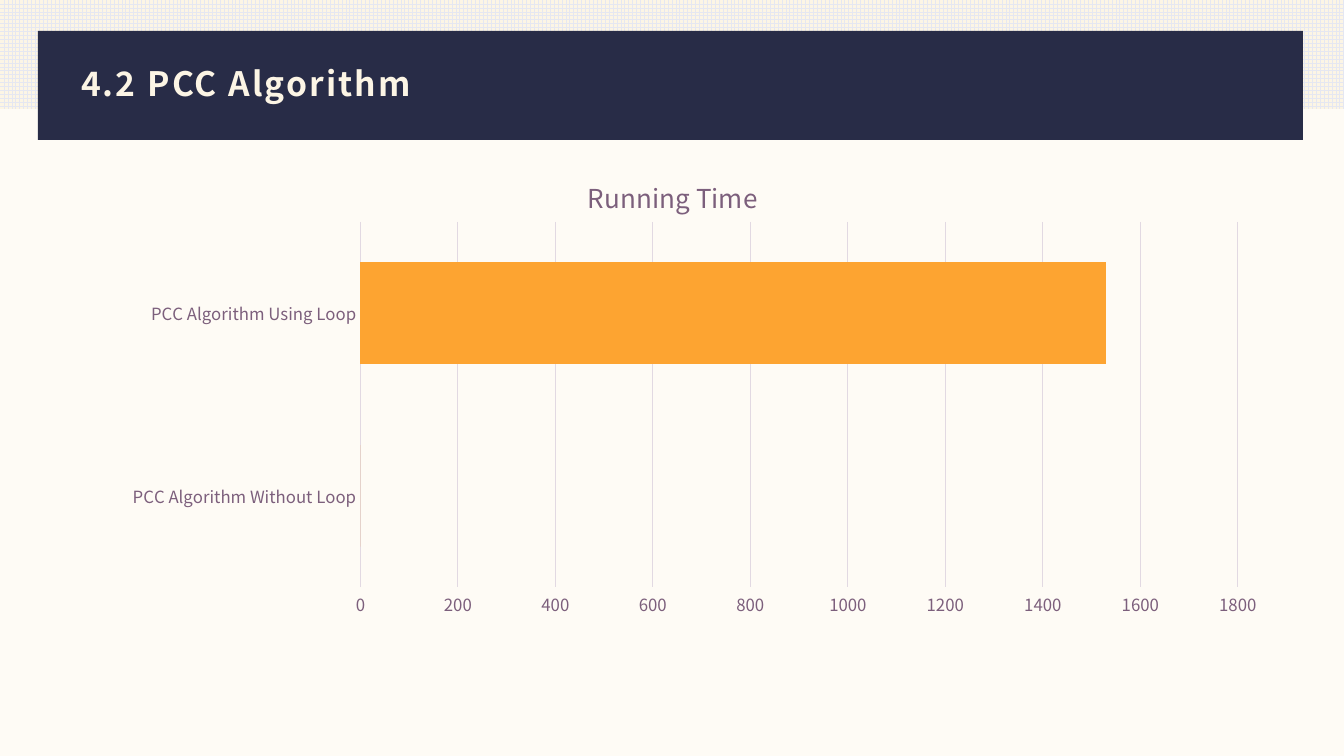
from dataclasses import dataclass

from lxml.etree import SubElement
from pptx import Presentation
from pptx.chart.data import CategoryChartData
from pptx.dml.color import RGBColor
from pptx.enum.chart import XL_CHART_TYPE, XL_TICK_MARK
from pptx.enum.dml import MSO_PATTERN
from pptx.enum.shapes import MSO_SHAPE
from pptx.enum.text import MSO_ANCHOR, PP_ALIGN
from pptx.oxml.ns import qn
from pptx.util import Emu, Pt

PX = 914400 / 100.8


@dataclass(frozen=True)
class Theme:
    background: str = "FEFBF5"
    cream: str = "FCF5E5"
    grid_pattern: str = "E5E7F1"
    navy: str = "282C47"
    mauve: str = "7C5F7C"
    gridline: str = "E2D9E2"
    orange: str = "FDA431"
    title_font: str = "Noto Sans CJK SC"
    chart_font: str = "Noto Sans CJK JP"
    title_size: float = 24
    chart_title_size: float = 18.6
    axis_size: float = 12


def color(value):
    return RGBColor.from_string(value)


def box(*lengths):
    return [Emu(round(length * PX)) for length in lengths]


class SlideBuilder:
    def __init__(self, presentation, theme):
        self.theme = theme
        self.slide = presentation.slides.add_slide(presentation.slide_layouts[5])
        fill = self.slide.background.fill
        fill.solid()
        fill.fore_color.rgb = color(theme.background)

    def style(self, font, name, size, value, bold=False):
        font.name, font.size, font.bold = name, Pt(size), bold
        font.color.rgb = color(value)

    def rectangle(self, position, fill_color, pattern_color=None):
        shape = self.slide.shapes.add_shape(MSO_SHAPE.RECTANGLE, *box(*position))
        shape.shadow.inherit = False
        shape.line.fill.background()
        if pattern_color:
            shape.fill.patterned()
            shape.fill.pattern = MSO_PATTERN.LARGE_GRID
            shape.fill.fore_color.rgb = color(pattern_color)
            shape.fill.back_color.rgb = color(fill_color)
        else:
            shape.fill.solid()
            shape.fill.fore_color.rgb = color(fill_color)

    def title(self, position, text):
        shape = self.slide.shapes.title
        shape.left, shape.top, shape.width, shape.height = box(*position)
        # Bring the title in front of the banner
        self.slide.shapes._spTree.append(shape._element)
        frame = shape.text_frame
        frame.text = text
        frame.word_wrap = True
        frame.vertical_anchor = MSO_ANCHOR.MIDDLE
        paragraph = frame.paragraphs[0]
        paragraph.alignment = PP_ALIGN.LEFT
        paragraph.line_spacing = 0.9
        self.style(paragraph.font, self.theme.title_font, self.theme.title_size,
                   self.theme.cream, bold=True)
        paragraph.font._element.set("spc", "150")

    def bar_chart(self, position, name, values, maximum, step, plot):
        theme = self.theme
        data = CategoryChartData()
        data.categories = list(values)
        data.add_series(name, list(values.values()))
        chart = self.slide.shapes.add_chart(
            XL_CHART_TYPE.BAR_CLUSTERED, *box(*position), data).chart
        self.style(chart.font, theme.chart_font, theme.axis_size, theme.mauve)
        chart.has_legend = False

        # Chart title
        chart.has_title = True
        chart.chart_title.include_in_layout = False
        frame = chart.chart_title.text_frame
        frame.text = name
        self.style(frame.paragraphs[0].font, theme.chart_font,
                   theme.chart_title_size, theme.mauve)

        # Axes
        for axis in (chart.category_axis, chart.value_axis):
            axis.major_tick_mark = axis.minor_tick_mark = XL_TICK_MARK.NONE
            self.style(axis.tick_labels.font, theme.chart_font,
                       theme.axis_size, theme.mauve)
        axis = chart.value_axis
        axis.minimum_scale, axis.maximum_scale, axis.major_unit = 0, maximum, step
        axis.format.line.fill.background()
        axis.has_major_gridlines = True
        for line in (chart.category_axis.format.line, axis.major_gridlines.format.line):
            line.color.rgb = color(theme.gridline)
            line.width = Pt(0.75)

        # Bars
        bars = chart.plots[0]
        bars.gap_width = 80
        bars.vary_by_categories = False
        fill = bars.series[0].format.fill
        fill.solid()
        fill.fore_color.rgb = color(theme.orange)
        self.place_plot(chart, plot)

    def place_plot(self, chart, plot):
        area = chart._chartSpace.chart.plotArea
        for layout in area.findall(qn("c:layout")):
            area.remove(layout)
        layout = SubElement(area, qn("c:layout"))
        area.insert(0, layout)
        manual = SubElement(layout, qn("c:manualLayout"))
        settings = [("layoutTarget", "inner"), ("xMode", "edge"), ("yMode", "edge"),
                    *zip("xywh", plot)]
        for tag, value in settings:
            SubElement(manual, qn(f"c:{tag}")).set("val", str(value))


def main():
    presentation = Presentation()
    presentation.slide_width, presentation.slide_height = box(1344, 756)
    theme = Theme()
    builder = SlideBuilder(presentation, theme)

    # Header
    builder.rectangle((0, 0, 1344, 109), theme.cream, theme.grid_pattern)
    builder.rectangle((38, 31, 1265, 109), theme.navy)
    builder.title((71, 53, 1203, 65), "4.2 PCC Algorithm")

    # Running time comparison
    running_times = {"PCC Algorithm Without Loop": 0, "PCC Algorithm Using Loop": 1530}
    builder.bar_chart((72, 154, 1202, 522), "Running Time", running_times,
                      maximum=1800, step=200, plot=(0.24, 0.13, 0.73, 0.7))
    presentation.save("out.pptx")


if __name__ == "__main__":
    main()
